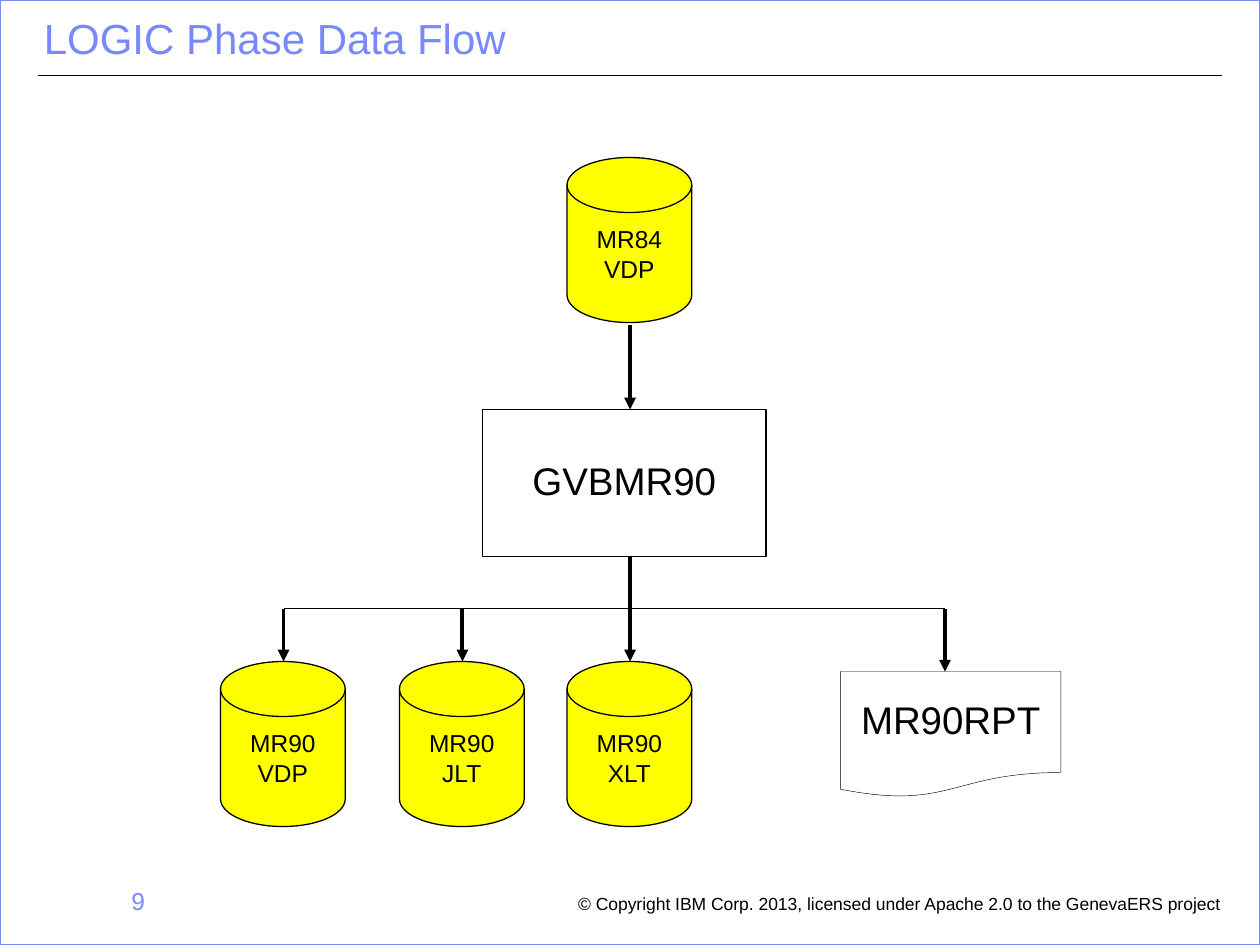
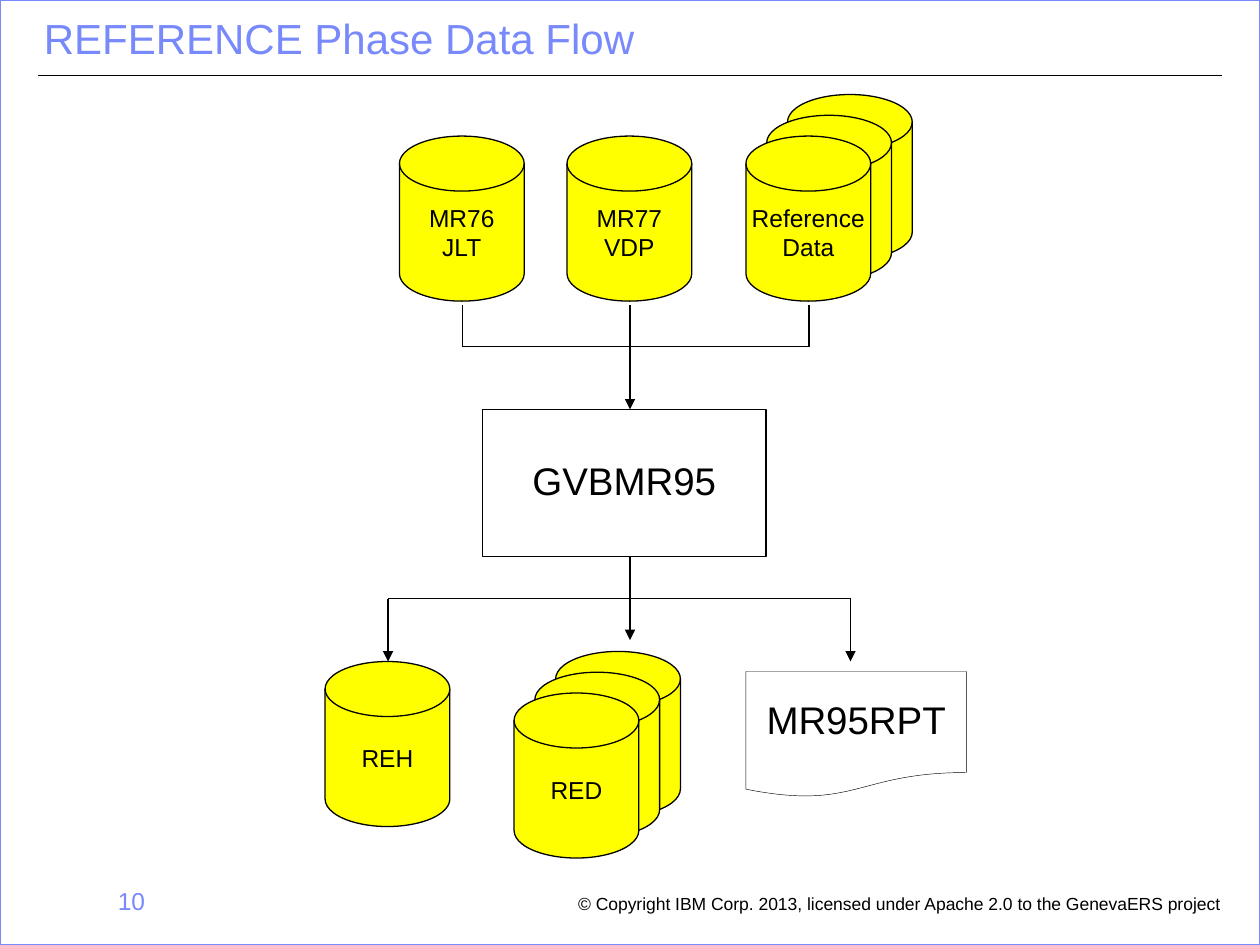
from dataclasses import dataclass
from typing import Optional

from lxml.etree import SubElement
from pptx import Presentation
from pptx.dml.color import RGBColor
from pptx.enum.shapes import MSO_CONNECTOR, MSO_SHAPE
from pptx.enum.text import MSO_ANCHOR, MSO_AUTO_SIZE, PP_ALIGN
from pptx.oxml.ns import qn
from pptx.util import Inches, Pt

FONT = "Arial"
BLACK = "000000"
ACCENT = "7889FB"
DISK_FILL = "FFFF00"
COPYRIGHT = "© Copyright IBM Corp. 2013, licensed under Apache 2.0 to the GenevaERS project"
DISK_WIDTH, DISK_HEIGHT = 0.99, 1.31
STACK_DEPTH, STACK_STEP = 3, 0.165
MIDDLE = 5
THIN, THICK = 0.75, 2.25


@dataclass(frozen=True)
class Node:
    left: float
    top: float
    text: str
    stacked: bool = False


@dataclass(frozen=True)
class Line:
    x1: float
    y1: float
    x2: float
    y2: float
    width: float = THIN
    arrow: bool = False


@dataclass(frozen=True)
class Flow:
    number: int
    title: str
    program: str
    report: Node
    disks: tuple[Node, ...]
    lines: tuple[Line, ...]


def arrow(x: float, top: float, bottom: float, width: float = THIN) -> Line:
    return Line(x, top, x, bottom, width, True)


FLOWS = (
    Flow(
        9, "LOGIC Phase Data Flow", "GVBMR90", Node(6.67, 5.33, "MR90RPT"),
        (
            Node(4.5, 1.25, "MR84\nVDP"),
            Node(1.75, 5.25, "MR90\nVDP"),
            Node(3.17, 5.25, "MR90\nJLT"),
            Node(4.5, 5.25, "MR90\nXLT"),
        ),
        (
            arrow(MIDDLE, 2.58, 3.25, THICK),
            arrow(MIDDLE, 4.42, 5.25, THICK),
            Line(2.25, 4.83, 7.5, 4.83),
            arrow(2.25, 4.83, 5.25, THICK),
            arrow(3.67, 4.83, 5.25, THICK),
            arrow(7.5, 4.83, 5.33, THICK),
        ),
    ),
    Flow(
        10, "REFERENCE Phase Data Flow", "GVBMR95", Node(5.92, 5.33, "MR95RPT"),
        (
            Node(3.17, 1.08, "MR76\nJLT"),
            Node(4.5, 1.08, "MR77\nVDP"),
            Node(5.92, 1.08, "Reference\nData", stacked=True),
            Node(2.58, 5.25, "REH"),
            Node(4.08, 5.5, "RED", stacked=True),
        ),
        (
            *(Line(x, 2.42, x, 2.75) for x in (3.67, MIDDLE, 6.42)),
            Line(3.67, 2.75, 6.42, 2.75),
            arrow(MIDDLE, 2.75, 3.25),
            arrow(MIDDLE, 4.42, 5.08),
            Line(3.08, 4.75, 6.75, 4.75),
            *(arrow(x, 4.75, 5.25) for x in (3.08, 6.75)),
        ),
    ),
)


def color(value: str) -> RGBColor:
    return RGBColor.from_string(value)


def write(shape, text: str, size: float, ink: str = BLACK,
          align: PP_ALIGN = PP_ALIGN.LEFT, anchor: MSO_ANCHOR = MSO_ANCHOR.TOP,
          spacing: float = 1.0, wrap: bool = False) -> None:
    frame = shape.text_frame
    frame.word_wrap = wrap
    frame.vertical_anchor = anchor
    for index, words in enumerate(text.split("\n")):
        para = frame.add_paragraph() if index else frame.paragraphs[0]
        para.alignment = align
        para.line_spacing = spacing
        span = para.add_run()
        span.text = words
        span.font.name = FONT
        span.font.size = Pt(size)
        span.font.color.rgb = color(ink)


def add_text_box(page, left: float, top: float, width: float, height: float):
    return page.shapes.add_textbox(Inches(left), Inches(top), Inches(width), Inches(height))


def add_outline(page, kind: MSO_SHAPE, left: float, top: float, width: float, height: float,
                fill: Optional[str] = None, line: str = BLACK, weight: float = THIN):
    shape = page.shapes.add_shape(kind, Inches(left), Inches(top), Inches(width), Inches(height))
    shape.shadow.inherit = False
    if fill:
        shape.fill.solid()
        shape.fill.fore_color.rgb = color(fill)
    else:
        shape.fill.background()
    shape.line.color.rgb = color(line)
    shape.line.width = Pt(weight)
    return shape


def add_line(page, line: Line) -> None:
    connector = page.shapes.add_connector(
        MSO_CONNECTOR.STRAIGHT,
        Inches(line.x1), Inches(line.y1), Inches(line.x2), Inches(line.y2))
    connector.line.color.rgb = color(BLACK)
    connector.line.width = Pt(line.width)
    if line.arrow:
        SubElement(connector.line._get_or_add_ln(), qn("a:tailEnd"), type="triangle")
    SubElement(connector._element.spPr, qn("a:effectLst"))


def add_disk(page, disk: Node) -> None:
    depth = STACK_DEPTH if disk.stacked else 1
    for level in reversed(range(depth)):
        shift = level * STACK_STEP
        shape = add_outline(page, MSO_SHAPE.FLOWCHART_MAGNETIC_DISK, disk.left + shift,
                            disk.top - shift, DISK_WIDTH, DISK_HEIGHT, DISK_FILL)
    write(shape, disk.text, 14, align=PP_ALIGN.CENTER, anchor=MSO_ANCHOR.MIDDLE)


def add_frame(page, flow: Flow) -> None:
    add_line(page, Line(0.3, 0.6, 9.7, 0.6))
    add_outline(page, MSO_SHAPE.RECTANGLE, 0, 0, 10, 7.5, line=ACCENT, weight=1)
    footer = add_text_box(page, 4.49, 7.06, 5.34, 0.25)
    write(footer, COPYRIGHT, 10, spacing=0.9)
    footer.text_frame.auto_size = MSO_AUTO_SIZE.SHAPE_TO_FIT_TEXT
    number = add_text_box(page, 0.25, 6.98, 1, 0.52)
    write(number, str(flow.number), 14, ACCENT, PP_ALIGN.RIGHT, wrap=True)
    title = add_text_box(page, 0.25, 0, 7.83, 0.55)
    write(title, flow.title, 24, ACCENT, anchor=MSO_ANCHOR.BOTTOM, spacing=0.9, wrap=True)


def add_flow(deck, flow: Flow) -> None:
    page = deck.slides.add_slide(deck.slide_layouts[6])
    add_frame(page, flow)
    program = add_outline(page, MSO_SHAPE.RECTANGLE, 3.83, 3.25, 2.25, 1.17)
    report = add_outline(page, MSO_SHAPE.FLOWCHART_DOCUMENT, flow.report.left,
                         flow.report.top, 1.75, 1, weight=0.25)
    for box, text in ((program, flow.program), (report, flow.report.text)):
        write(box, text, 22, align=PP_ALIGN.CENTER, anchor=MSO_ANCHOR.MIDDLE, spacing=0.9)
    for disk in flow.disks:
        add_disk(page, disk)
    for line in flow.lines:
        add_line(page, line)


def main() -> None:
    deck = Presentation()
    deck.slide_width = Inches(10)
    deck.slide_height = Inches(7.5)
    for flow in FLOWS:
        add_flow(deck, flow)
    deck.save("out.pptx")


if __name__ == "__main__":
    main()
